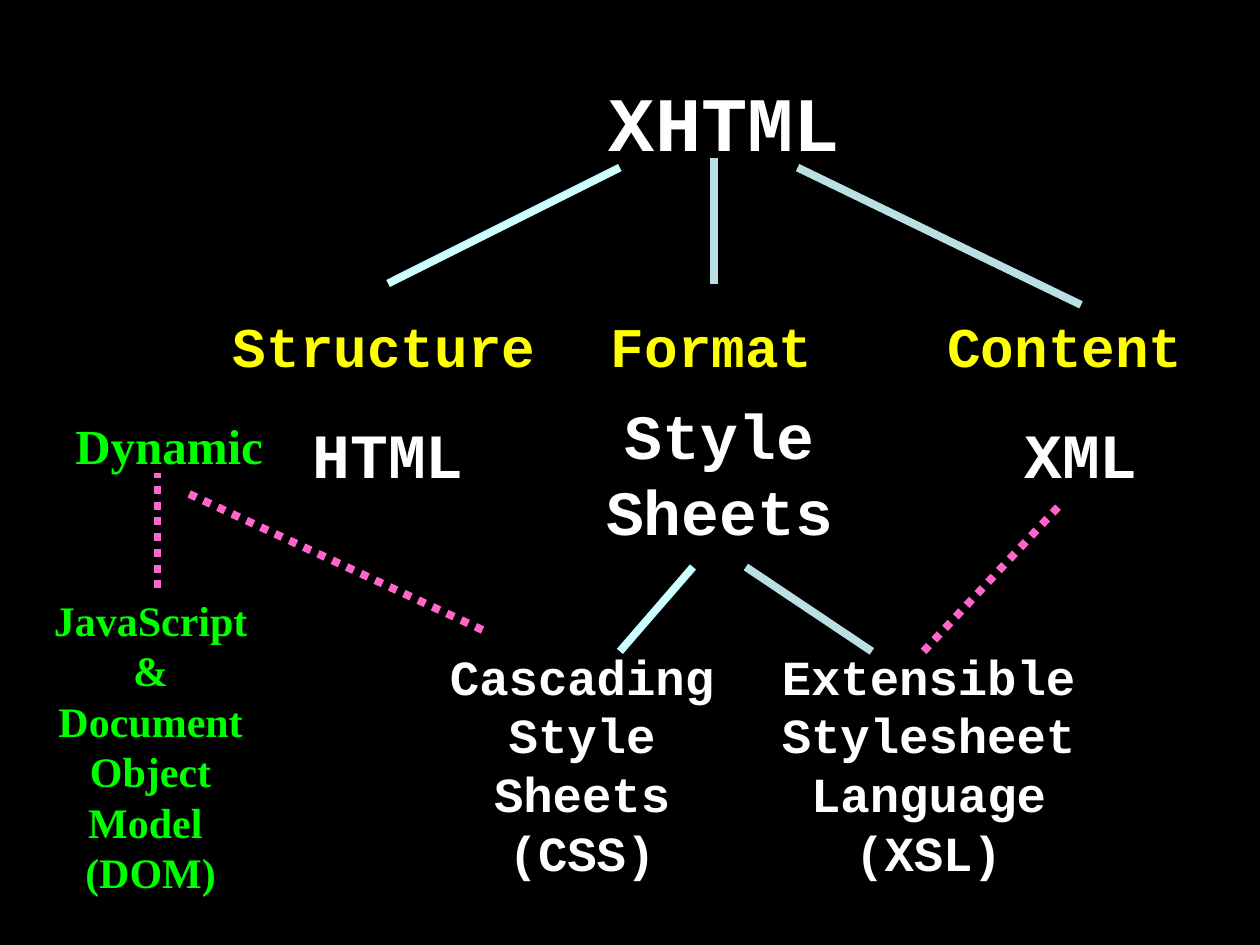
from pptx import Presentation
from pptx.dml.color import RGBColor
from pptx.enum.dml import MSO_LINE
from pptx.enum.shapes import MSO_CONNECTOR
from pptx.enum.text import MSO_ANCHOR, MSO_AUTO_SIZE, PP_ALIGN
from pptx.util import Inches, Pt
from lxml import etree

CENTER, LEFT = PP_ALIGN.CENTER, PP_ALIGN.LEFT
MIDDLE, TOP = MSO_ANCHOR.MIDDLE, MSO_ANCHOR.TOP
NO_FIT = MSO_AUTO_SIZE.NONE
STRAIGHT = MSO_CONNECTOR.STRAIGHT
DOTS = MSO_LINE.ROUND_DOT
MONO, SERIF = "Courier New", "Times New Roman"
A = "http://schemas.openxmlformats.org/drawingml/2006/main"
COLORS = {"black": "000000", "white": "FFFFFF", "yellow": "FFFF00",
          "green": "00FF00", "pink": "FF66CC", "cyan": "CCFFFF", "blue": "BBE0E3"}


def write(sp, lines, size, font, color, align=CENTER, anchor=TOP, wrap=True):
    tf = sp.text_frame
    tf.word_wrap = wrap
    tf.auto_size = NO_FIT
    tf.vertical_anchor = anchor
    for i, line in enumerate(lines):
        p = tf.add_paragraph() if i else tf.paragraphs[0]
        p.alignment = align
        p.line_spacing = Pt(size * 1.2)
        r = p.add_run()
        r.text = line
        r.font.name = font
        r.font.size = Pt(size)
        r.font.bold = True
        r.font.color.rgb = RGBColor.from_string(COLORS[color])


def connect(x1, y1, x2, y2, color):
    ln = s.shapes.add_connector(STRAIGHT, Inches(x1), Inches(y1), Inches(x2), Inches(y2))
    ln.line.width = Pt(4.5)
    ln.line.color.rgb = RGBColor.from_string(COLORS[color])
    etree.SubElement(ln._element.spPr, f"{{{A}}}effectLst")
    return ln


prs = Presentation()
prs.slide_width, prs.slide_height = Inches(10), Inches(7.5)
s = prs.slides.add_slide(prs.slide_layouts[5])
s.background.fill.solid()
s.background.fill.fore_color.rgb = RGBColor.from_string(COLORS["black"])

title = s.shapes.title
title.left, title.top = Inches(1.5), Inches(0.33)
title.width, title.height = Inches(8.5), Inches(1.25)
write(title, ["XHTML"], 44, MONO, "white", anchor=MIDDLE)

technologies = [
    (2.08, 3.25, 2, 0.7, 36, ["HTML"]),
    (4.42, 3.1, 2.58, 1.3, 36, ["Style", "Sheets"]),
    (7.58, 3.25, 2, 0.7, 36, ["XML"]),
    (3.33, 5.08, 2.58, 1.97, 28, ["Cascading", "Style", "Sheets", "(CSS)"]),
    (6.08, 5.08, 2.58, 1.97, 28, ["Extensible", "Stylesheet", "Language", "(XSL)"]),
]
for x, y, w, h, size, lines in technologies:
    sp = s.shapes.add_textbox(Inches(x), Inches(y), Inches(w), Inches(h))
    write(sp, lines, size, MONO, "white")

for x1, y1, x2, y2, color in [
    (4.92, 5.17, 5.5, 4.5, "cyan"),
    (6.92, 5.17, 5.92, 4.5, "blue"),
    (3.08, 2.25, 4.92, 1.33, "cyan"),
    (5.67, 1.25, 5.67, 2.25, "blue"),
    (8.58, 2.42, 6.33, 1.33, "blue"),
]:
    connect(x1, y1, x2, y2, color)

for x1, y1, x2, y2 in [
    (3.83, 5, 1.5, 3.92),
    (7.33, 5.17, 8.42, 4),
    (1.25, 4.67, 1.25, 3.75),
]:
    connect(x1, y1, x2, y2, "pink").line.dash_style = DOTS

for x, w, role in [(1.75, 2.6, "Structure"), (4.75, 1.8, "Format"), (7.42, 2.07, "Content")]:
    sp = s.shapes.add_textbox(Inches(x), Inches(2.42), Inches(w), Inches(0.64))
    write(sp, [role], 32, MONO, "yellow", LEFT, wrap=False)

sp = s.shapes.add_textbox(Inches(0.5), Inches(3.25), Inches(1.69), Inches(0.57))
write(sp, ["Dynamic"], 28, SERIF, "green", LEFT)
sp = s.shapes.add_textbox(Inches(0.25), Inches(4.67), Inches(1.89), Inches(2.5))
write(sp, ["JavaScript &", "Document", "Object", "Model ", "(DOM)"], 24, SERIF, "green")

prs.save("out.pptx")
